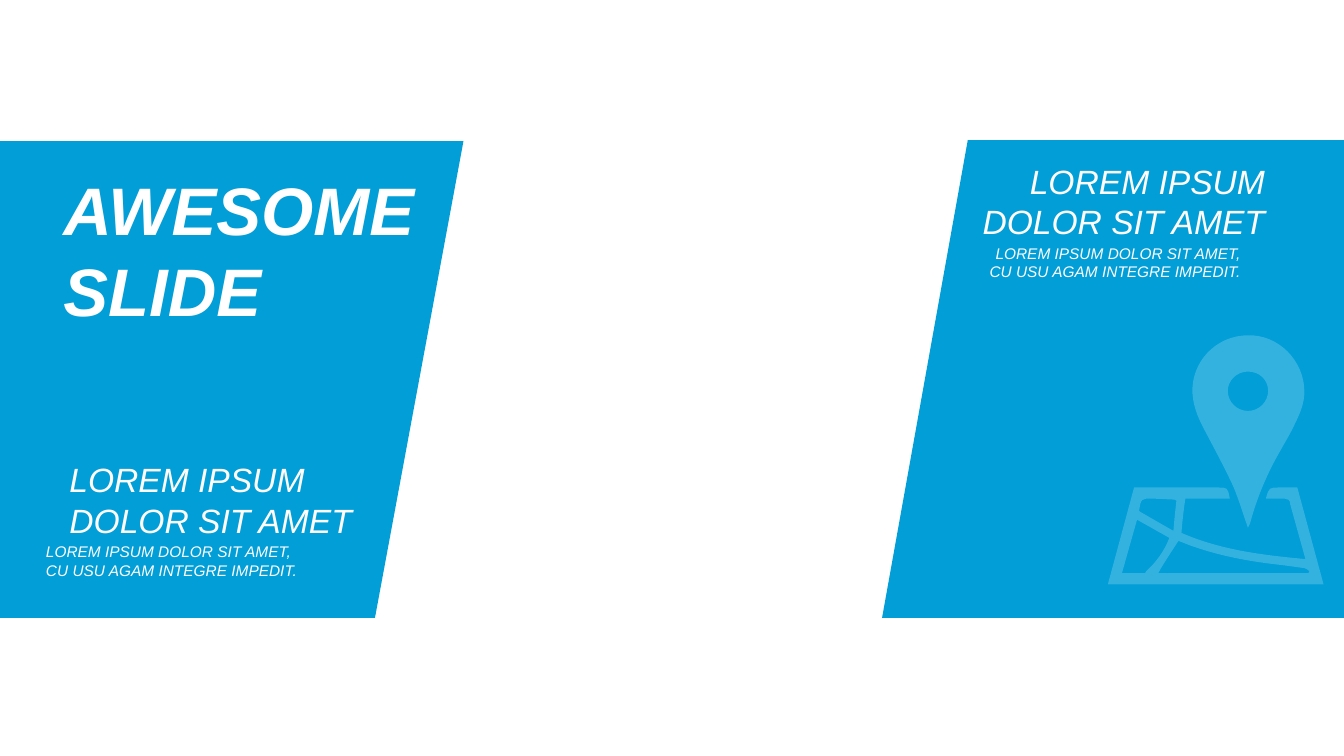
from dataclasses import dataclass

from lxml import etree
from pptx import Presentation
from pptx import util as u
from pptx.dml.color import RGBColor
from pptx.enum import text
from pptx.oxml.ns import qn


@dataclass(frozen=True)
class Theme:
    font: str = "Arial"
    blue: RGBColor = RGBColor(0x01, 0x9E, 0xD7)
    white: RGBColor = RGBColor(0xFF, 0xFF, 0xFF)
    title: int = 48
    heading: int = 24
    body: int = 11
    icon_opacity: int = 20


RIGHT_PANEL = [[(2439, 353), (3387, 353), (3387, 1557), (2223, 1557)]]
LEFT_PANEL = [[(0, 356), (1168, 356), (945, 1557), (0, 1557)]]

LOWER_FIELD = [
    (70, 204), (63, 215, 56, 225, 50, 236), (199, 236), (200, 234),
    (198, 233, 197, 231, 195, 231), (188, 230, 180, 229, 173, 228),
    (145, 225, 116, 220, 89, 211), (82, 209, 76, 206, 70, 204),
]
LEFT_FIELD = [
    (29, 183), (14, 236), (36, 236), (37, 236, 38, 235, 38, 234),
    (48, 225, 56, 214, 61, 201),
]
UPPER_FIELD = [
    (44, 162), (33, 162, 33, 162, 31, 174), (32, 175), (65, 194),
    (66, 182, 67, 173, 68, 164), (66, 163),
]
MAP_BORDER = [
    (26, 151), (109, 151), (119, 151, 119, 151, 121, 162), (77, 162),
    (75, 174, 74, 185, 73, 196), (112, 213, 153, 218, 196, 222), (181, 168),
    (181, 163, 178, 162, 175, 162), (157, 162), (157, 161),
    (160, 151, 160, 151, 170, 151), (188, 151), (214, 247), (0, 247),
]
PIN_HOLE = [
    (139, 36), (128, 36, 119, 45, 119, 55), (119, 66, 128, 75, 139, 75),
    (150, 75, 159, 66, 159, 55), (159, 44, 150, 36, 139, 36),
]
PIN = [
    (139, 0), (169, -1, 195, 25, 195, 56), (195, 67, 191, 77, 186, 87),
    (182, 96, 177, 104, 172, 113), (158, 137, 148, 161, 141, 187), (139, 191),
    (134, 177, 130, 163, 124, 149), (116, 132, 107, 115, 98, 98),
    (91, 85, 85, 73, 84, 58), (82, 27, 107, 0, 139, 0),
]
MAP_ICON = [LOWER_FIELD, LEFT_FIELD, UPPER_FIELD, MAP_BORDER, PIN_HOLE, PIN]


class SlideBuilder:
    def __init__(self, presentation, theme):
        self.theme = theme
        self.slide = presentation.slides.add_slide(presentation.slide_layouts[6])

    def outline(self, contours, color, unit=u.Cm(0.01), left=0, top=0, opacity=100):
        builder = self.slide.shapes.build_freeform(*contours[0][0], scale=unit)
        for index, contour in enumerate(contours):
            if index:
                builder.move_to(*contour[0])
            builder.add_line_segments([part[-2:] for part in contour[1:]], close=True)
        shape = builder.convert_to_shape(u.Cm(left), u.Cm(top))
        self.bend(shape, contours)
        shape.shadow.inherit = False
        shape.line.fill.background()
        shape.fill.solid()
        shape.fill.fore_color.rgb = color
        if opacity < 100:
            fill_color = shape._element.spPr.find(qn("a:solidFill"))[0]
            etree.SubElement(fill_color, qn("a:alpha"), val=str(opacity * 1000))

    def bend(self, shape, contours):
        segments = [part for contour in contours for part in contour[1:]]
        lines = list(shape._element.iter(qn("a:lnTo")))
        for line, segment in zip(lines, segments):
            if len(segment) == 2:
                continue
            end = line[0]
            shift_x = int(end.get("x")) - segment[4]
            shift_y = int(end.get("y")) - segment[5]
            curve = etree.Element(qn("a:cubicBezTo"))
            for x, y in zip(segment[::2], segment[1::2]):
                etree.SubElement(curve, qn("a:pt"), x=str(x + shift_x), y=str(y + shift_y))
            line.getparent().replace(line, curve)

    def text_box(self, lines, left, top, width, height, size,
                 bold=False, align=text.PP_ALIGN.LEFT):
        box = self.slide.shapes.add_textbox(*map(u.Cm, (left, top, width, height)))
        frame = box.text_frame
        frame.word_wrap = True
        frame.auto_size = text.MSO_AUTO_SIZE.SHAPE_TO_FIT_TEXT
        frame.vertical_anchor = text.MSO_ANCHOR.MIDDLE
        frame.text = "\n".join(lines)
        for paragraph in frame.paragraphs:
            paragraph.alignment = align
            paragraph.font.name = self.theme.font
            paragraph.font.size = u.Pt(size)
            paragraph.font.bold = bold
            paragraph.font.italic = True
            paragraph.font.color.rgb = self.theme.white

    def caption(self, heading_at, body_at, align):
        self.text_box(["LOREM IPSUM DOLOR SIT AMET,", "CU USU AGAM INTEGRE IMPEDIT."],
                      *body_at, 8.26, 1.19, self.theme.body, align=align)
        self.text_box(["LOREM IPSUM", "DOLOR SIT AMET"],
                      *heading_at, 8.26, 2.31, self.theme.heading, align=align)


def main():
    presentation = Presentation()
    presentation.slide_width = u.Cm(33.87)
    presentation.slide_height = u.Cm(19.05)
    theme = Theme()
    builder = SlideBuilder(presentation, theme)
    builder.outline(RIGHT_PANEL, theme.blue)
    builder.outline(LEFT_PANEL, theme.blue)
    builder.text_box(["AWESOME", "SLIDE"], 1.35, 4.09, 9.91, 4.37, theme.title, bold=True)
    builder.caption((1.5, 11.43), (0.91, 13.54), text.PP_ALIGN.LEFT)
    builder.caption((23.87, 3.91), (23.26, 6.02), text.PP_ALIGN.RIGHT)
    builder.outline(MAP_ICON, theme.white, unit=u.Cm(2.54) / 100,
                    left=27.92, top=8.45, opacity=theme.icon_opacity)
    presentation.save("out.pptx")


if __name__ == "__main__":
    main()
